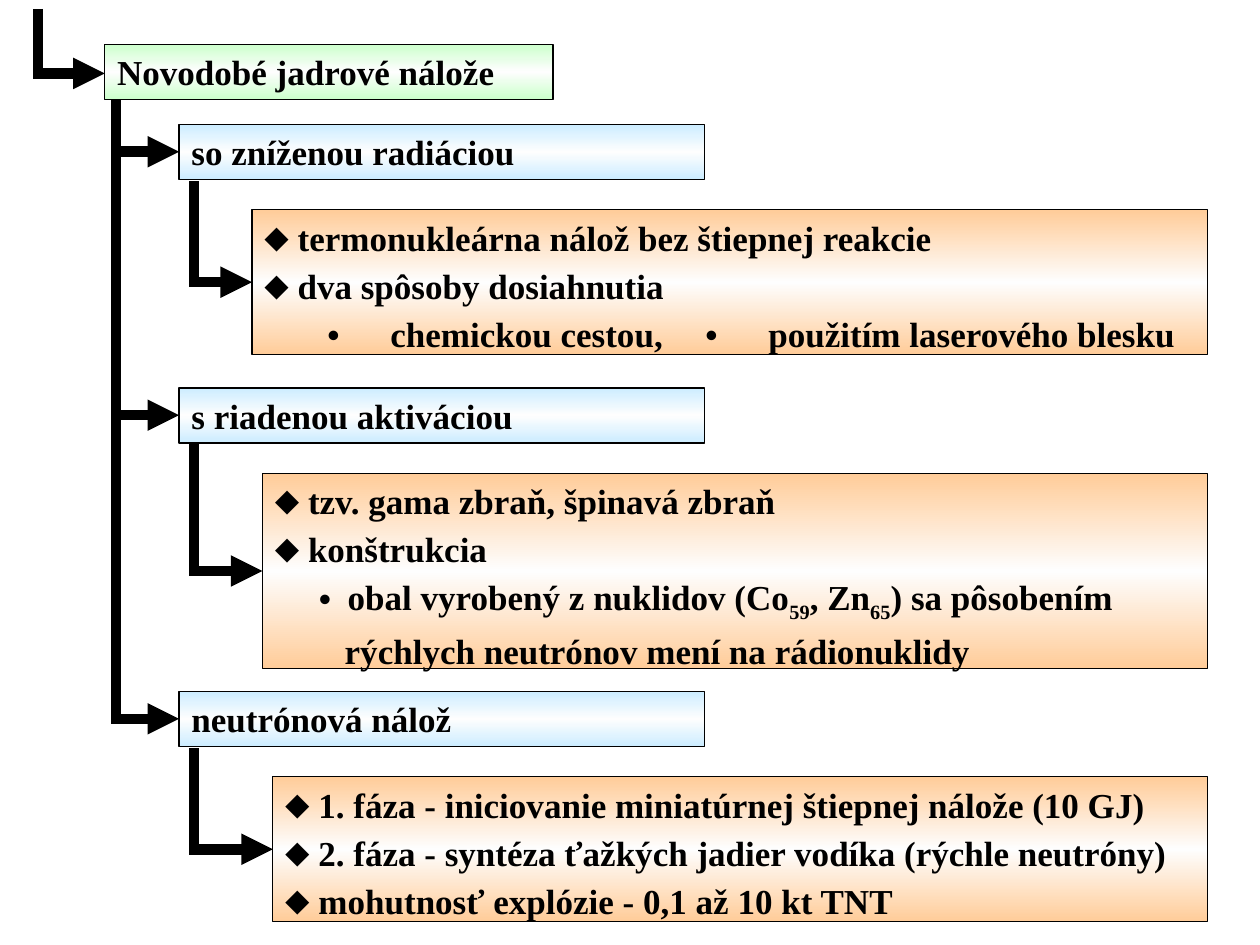
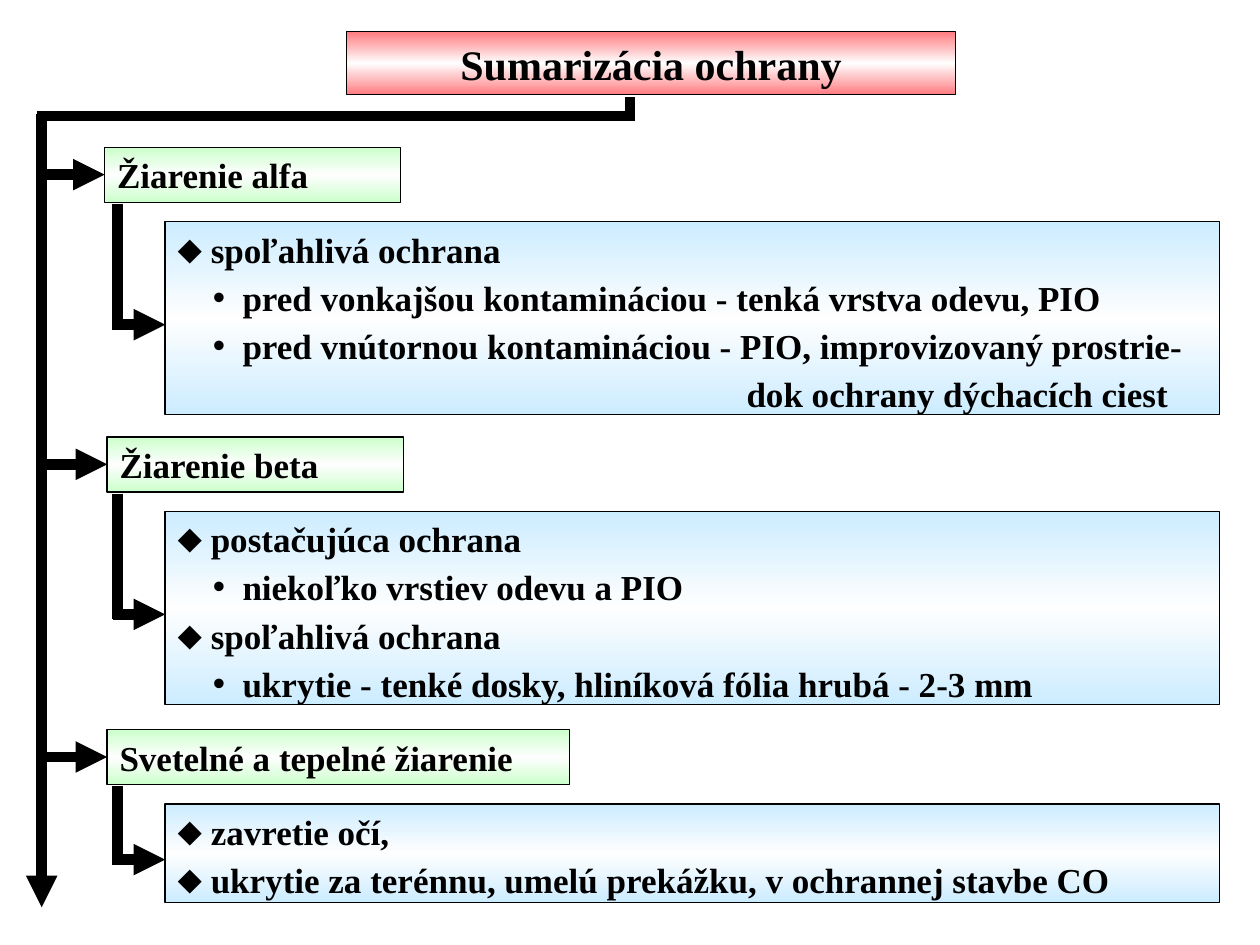
from copy import deepcopy

from lxml import etree
from pptx import Presentation
from pptx.dml.color import RGBColor
from pptx.enum.shapes import MSO_CONNECTOR, MSO_SHAPE
from pptx.enum.text import MSO_ANCHOR, MSO_AUTO_SIZE, PP_ALIGN
from pptx.oxml.ns import qn
from pptx.util import Cm, Pt

RECTANGLE = MSO_SHAPE.RECTANGLE
STRAIGHT = MSO_CONNECTOR.STRAIGHT
TOP = MSO_ANCHOR.TOP
NO_FIT = MSO_AUTO_SIZE.NONE
LEFT, CENTER = PP_ALIGN.LEFT, PP_ALIGN.CENTER

BLACK = RGBColor(0x00, 0x00, 0x00)
SHEEN = RGBColor(0xFE, 0xFE, 0xFE)
GREEN = RGBColor(0xCC, 0xFF, 0xCC)
BLUE = RGBColor(0xCC, 0xEC, 0xFF)
ORANGE = RGBColor(0xFF, 0xCC, 0x99)
RED = RGBColor(0xFF, 0x7C, 0x80)

TEXT_FONT = "Times New Roman"
BULLET_FONT = "Arial"
HEADING_HEIGHT = 1.11
BRANCH_DROP = 0.55

DIAMOND = {"bullet": "⬥", "margin": 0.67, "hang": 0.67}
DOT = {"bullet": "•", "margin": 1.31, "hang": 0.6}
DEEP_DOT = {"bullet": "•", "margin": 1.47, "hang": 0.58}
DOT_PAIR = {"tabs": (0.89, 1.31, 7.37, 7.95)}

CHARGES = [
    ("so zníženou radiáciou", 2.51, 5.08, 2.92, [
        ("termonukleárna nálož bez štiepnej reakcie", DIAMOND),
        ("dva spôsoby dosiahnutia", DIAMOND),
        ("\t•\tchemickou cestou,\t•\tpoužitím laserového blesku", DOT_PAIR),
    ]),
    ("s riadenou aktiváciou", 7.82, 5.29, 3.94, [
        ("tzv. gama zbraň, špinavá zbraň", DIAMOND),
        ("konštrukcia", DIAMOND),
        ("obal vyrobený z nuklidov (Co|59|, Zn|65|) sa pôsobením", DEEP_DOT),
        ("rýchlych neutrónov mení na rádionuklidy", {"margin": 1.41}),
    ]),
    ("neutrónová nálož", 13.94, 5.5, 2.92, [
        ("1. fáza - iniciovanie miniatúrnej štiepnej nálože (10 GJ)", DIAMOND),
        ("2. fáza - syntéza ťažkých jadier vodíka (rýchle neutróny)", DIAMOND),
        ("mohutnosť explózie - 0,1 až 10 kt TNT", DIAMOND),
    ]),
]

PROTECTION = [
    ("Žiarenie alfa", 2.97, 2.11, 5.97, 3.89, [
        ("spoľahlivá ochrana", DIAMOND),
        ("pred vonkajšou kontamináciou - tenká vrstva odevu, PIO", DOT),
        ("pred vnútornou kontamináciou - PIO, improvizovaný prostrie-", DOT),
        ("dok ochrany dýchacích ciest", {"margin": 11.47}),
    ]),
    ("Žiarenie beta", 8.81, 2.16, 5.97, 3.89, [
        ("postačujúca ochrana", DIAMOND),
        ("niekoľko vrstiev odevu a PIO", DOT),
        ("spoľahlivá ochrana", DIAMOND),
        ("ukrytie - tenké dosky, hliníková fólia hrubá - 2-3 mm", DOT),
    ]),
    ("Svetelné a tepelné žiarenie", 14.71, 2.16, 9.32, 1.98, [
        ("zavretie očí,", DIAMOND),
        ("ukrytie za terénnu, umelú prekážku, v ochrannej stavbe CO", DIAMOND),
    ]),
]


def write_text(paragraph, text, size=20, align=LEFT, before=0, bullet=None,
               margin=0, hang=0, tabs=()):
    paragraph.alignment = align
    paragraph.space_before = Pt(before)
    properties = paragraph._p.get_or_add_pPr()
    properties.set("marL", str(Cm(margin)))
    properties.set("indent", str(-Cm(hang)))
    if bullet:
        etree.SubElement(properties, qn("a:buFont"), typeface=BULLET_FONT)
        etree.SubElement(properties, qn("a:buChar"), char=bullet)
    if tabs:
        tab_list = etree.SubElement(properties, qn("a:tabLst"))
        for stop in tabs:
            etree.SubElement(tab_list, qn("a:tab"), pos=str(Cm(stop)), algn="l")
    for index, part in enumerate(text.split("|")):
        span = paragraph.add_run()
        span.text = part
        span.font.name = TEXT_FONT
        span.font.size = Pt(size)
        span.font.bold = True
        span.font.color.rgb = BLACK
        if index % 2:
            span._r.get_or_add_rPr().set("baseline", "-25000")


def style_box(box, color):
    fill = box.fill
    fill.gradient()
    fill.gradient_angle = 90
    stop_list = box._element.spPr.find(qn("a:gradFill")).find(qn("a:gsLst"))
    stop_list.insert(1, deepcopy(stop_list[0]))
    stops = zip(fill.gradient_stops, (0, 0.5, 1), (color, SHEEN, color))
    for stop, position, shade in stops:
        stop.position = position
        stop.color.rgb = shade
    box.line.color.rgb = BLACK
    box.line.width = Pt(0.75)
    frame = box.text_frame
    frame.word_wrap = True
    frame.auto_size = NO_FIT
    frame.vertical_anchor = TOP
    frame.margin_left = frame.margin_right = Cm(0.25)
    frame.margin_top = frame.margin_bottom = Cm(0.13)


def set_title(page, text, left, top, width, height, color, **text_format):
    title = page.shapes.title
    title.left, title.top = Cm(left), Cm(top)
    title.width, title.height = Cm(width), Cm(height)
    style_box(title, color)
    write_text(title.text_frame.paragraphs[0], text, **text_format)


def add_box(page, left, top, width, height, color, items):
    box = page.shapes.add_shape(RECTANGLE, Cm(left), Cm(top), Cm(width), Cm(height))
    box.shadow.inherit = False
    style_box(box, color)
    frame = box.text_frame
    for index, (text, text_format) in enumerate(items):
        paragraph = frame.add_paragraph() if index else frame.paragraphs[0]
        write_text(paragraph, text, before=3.5 if index else 0, **text_format)


def add_line(page, x1, y1, x2, y2, arrow=False):
    line = page.shapes.add_connector(STRAIGHT, Cm(x1), Cm(y1), Cm(x2), Cm(y2))
    line.line.color.rgb = BLACK
    line.line.width = Pt(6)
    if arrow:
        etree.SubElement(line.line._get_or_add_ln(), qn("a:tailEnd"), type="triangle")
    etree.SubElement(line._element.spPr, qn("a:effectLst"))


def add_elbow(page, x, top, corner, right):
    add_line(page, x, top, x, corner + 0.1)
    add_line(page, x - 0.1, corner, right, corner, arrow=True)


def add_branch(page, trunk, heading, detail, stem, corner_shift=0):
    heading_text, left, top, width, heading_color = heading
    detail_left, detail_top, detail_right, height, detail_color, items = detail
    add_box(page, left, top, width, HEADING_HEIGHT, heading_color, [(heading_text, {})])
    add_box(page, detail_left, detail_top, detail_right - detail_left, height,
            detail_color, items)
    add_line(page, trunk, top + BRANCH_DROP, left, top + BRANCH_DROP, arrow=True)
    add_elbow(page, stem, top + HEADING_HEIGHT + 0.03,
              detail_top + height / 2 + corner_shift, detail_left)


def build_charges(page):
    trunk = 2.34
    set_title(page, "Novodobé jadrové nálože", 2.11, 0.89, 9.04, HEADING_HEIGHT, GREEN)
    add_elbow(page, 0.77, 0.18, 1.48, 2.11)
    add_line(page, trunk, 2.01, trunk, 14.6)
    for text, top, detail_left, height, items in CHARGES:
        add_branch(page, trunk, (text, 3.61, top, 10.59, BLUE),
                   (detail_left, top + 1.72, 24.34, height, ORANGE, items), stem=3.91)


def build_protection(page):
    trunk = 0.84
    set_title(page, "Sumarizácia ochrany", 6.99, 0.64, 12.27, 1.27, RED,
              size=24, align=CENTER)
    add_line(page, 12.7, 1.96, 12.7, 2.39)
    add_line(page, 12.8, 2.34, trunk - 0.1, 2.34)
    add_line(page, trunk, 2.29, trunk, 18.29, arrow=True)
    for text, top, left, width, height, items in PROTECTION:
        add_branch(page, trunk, (text, left, top, width, GREEN),
                   (3.33, top + 1.5, 24.59, height, BLUE, items),
                   stem=2.37, corner_shift=0.13)


def main():
    deck = Presentation()
    deck.slide_width, deck.slide_height = Cm(25.4), Cm(19.05)
    for build in (build_charges, build_protection):
        build(deck.slides.add_slide(deck.slide_layouts[5]))
    deck.save("out.pptx")


if __name__ == "__main__":
    main()
